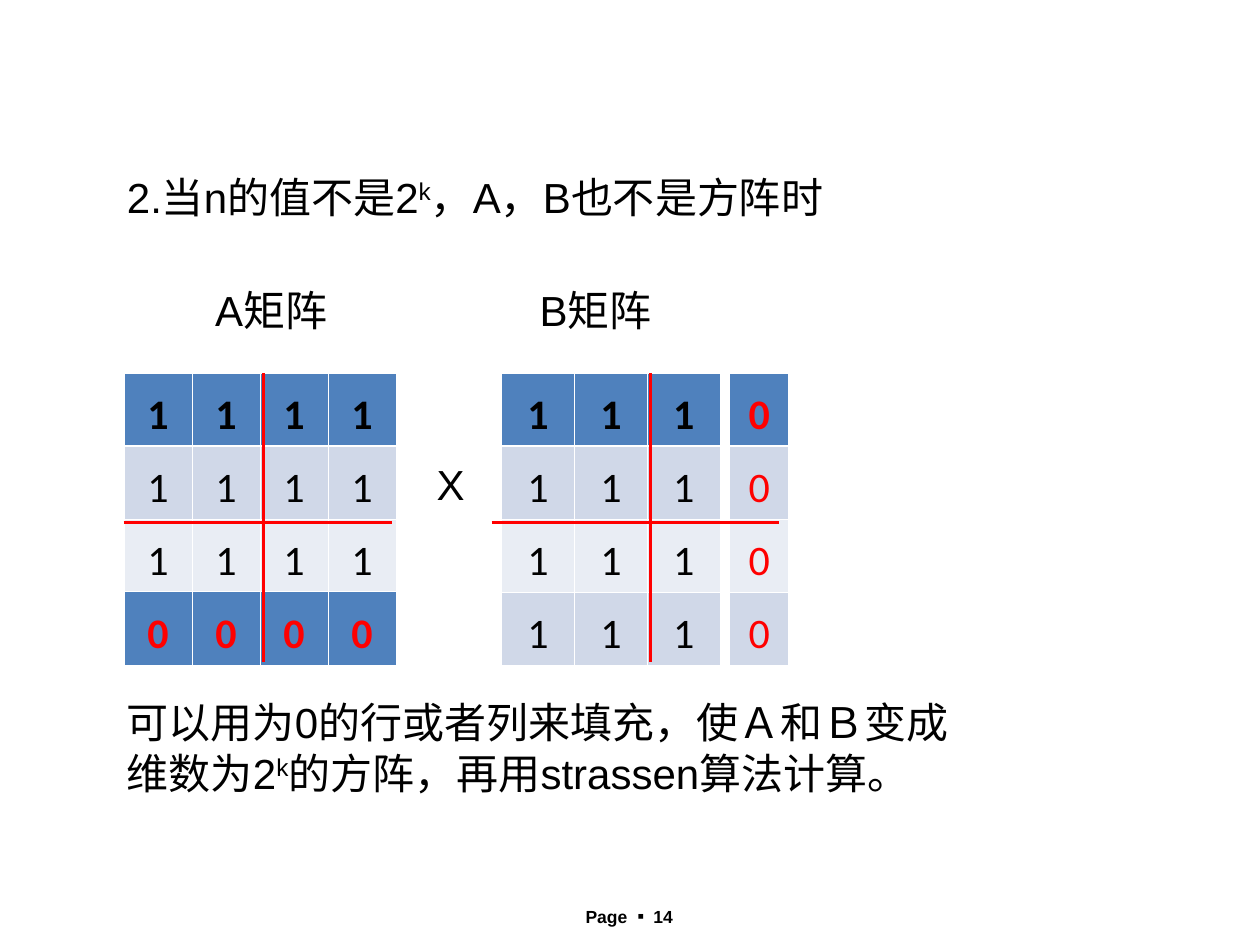
from dataclasses import dataclass

from lxml.etree import SubElement
from pptx import Presentation
from pptx.dml.color import RGBColor
from pptx.enum.shapes import MSO_CONNECTOR
from pptx.enum.text import MSO_ANCHOR, MSO_AUTO_SIZE, PP_ALIGN
from pptx.oxml.ns import qn
from pptx.slide import Slide
from pptx.util import Cm, Pt


@dataclass(frozen=True)
class Theme:
    """Colours, fonts and type sizes."""
    black: str = "000000"
    white: str = "FFFFFF"
    red: str = "FF0000"
    head: str = "4F81BD"
    dark: str = "D0D8E8"
    light: str = "E9EDF4"
    sans: str = "Arial"
    cell: str = "Calibri"
    cjk: str = "Noto Sans CJK JP"
    body: float = 24
    wide: float = 32
    foot: float = 10
    thin: float = 0.45
    thick: float = 1.5


THEME = Theme()
ROW = 1.47
TOP = 7.52
FOOT = TOP + 4 * ROW - 0.06
MID = 10.53


@dataclass(frozen=True)
class Piece:
    """One run of text."""
    text: str
    size: float = THEME.body
    font: str = THEME.sans
    tint: str = THEME.black
    bold: bool = False
    lift: bool = False


@dataclass(frozen=True)
class Box:
    """A text box with one paragraph."""
    left: float
    top: float
    width: float
    height: float
    runs: tuple[Piece, ...]
    align: PP_ALIGN = PP_ALIGN.LEFT
    tab: float = 0
    grow: bool = True


@dataclass(frozen=True)
class Grid:
    """A block of equal cells, with one fill for each row."""
    left: float
    top: float
    cols: int
    width: float
    digit: str
    tint: str
    fills: tuple[str, ...]


@dataclass(frozen=True)
class Rule:
    """A straight red line."""
    x1: float
    y1: float
    x2: float
    y2: float


BOXES = (
    Box(10.69, 18.14, 3.99, 0.56, (
        Piece("Page ", THEME.foot, bold=True),
        Piece("▪ ", THEME.foot, THEME.cjk, bold=True),
        Piece("14", THEME.foot, bold=True)), PP_ALIGN.CENTER, grow=False),
    Box(2.31, 3.33, 15.8, 2.29, (
        Piece("2.当n的值不是2"), Piece("k", lift=True),
        Piece("，A，B也不是方阵时"))),
    Box(2.31, 13.92, 17.2, 2.29, (
        Piece("可以用为0的行或者列来填充，使Ａ和Ｂ变成维数为2"),
        Piece("k", lift=True), Piece("的方阵，再用strassen算法计算。"))),
    Box(4.09, 5.33, 18.44, 1.63, (
        Piece("A矩阵"), Piece("\t", THEME.wide), Piece("B矩阵")), tab=6.54),
    Box(8.31, 9.12, 1.55, 1.27, (Piece("X"),), PP_ALIGN.CENTER),
)

BANDS = (THEME.head, THEME.dark, THEME.light, THEME.dark)
GRIDS = (
    Grid(2.5, TOP, 4, 1.37, "1", THEME.black, BANDS[:3]),
    Grid(10.11, TOP, 3, 1.47, "1", THEME.black, BANDS),
    Grid(2.5, TOP + 3 * ROW, 4, 1.37, "0", THEME.red, BANDS[:1]),
    Grid(14.71, TOP, 1, 1.19, "0", THEME.red, BANDS),
)

RULES = (
    Rule(2.49, MID, 7.9, MID),
    Rule(9.91, MID, 15.7, MID),
    Rule(5.31, TOP, 5.31, FOOT),
    Rule(13.11, TOP, 13.11, FOOT),
)


def add_run(para, piece: Piece) -> None:
    """Append one styled run to a paragraph."""
    run = para.add_run()
    run.text = piece.text
    font = run.font
    font.name, font.size, font.bold = piece.font, Pt(piece.size), piece.bold
    font.color.rgb = RGBColor.from_string(piece.tint)
    if piece.lift:
        run._r.get_or_add_rPr().set("baseline", "30000")


def add_box(slide: Slide, box: Box) -> None:
    """Draw a text box."""
    shape = slide.shapes.add_textbox(
        Cm(box.left), Cm(box.top), Cm(box.width), Cm(box.height))
    frame = shape.text_frame
    frame.word_wrap = True
    frame.auto_size = (MSO_AUTO_SIZE.SHAPE_TO_FIT_TEXT if box.grow
                       else MSO_AUTO_SIZE.NONE)
    para = frame.paragraphs[0]
    para.alignment = box.align
    if box.tab:
        tabs = SubElement(para._p.get_or_add_pPr(), qn("a:tabLst"))
        SubElement(tabs, qn("a:tab"), pos=str(Cm(box.tab)), algn="l")
    for piece in box.runs:
        add_run(para, piece)


def add_edge(cell, side: str, width: float) -> None:
    """Give a cell one white border."""
    edge = SubElement(cell._tc.get_or_add_tcPr(), qn(f"a:ln{side}"),
                      w=str(Pt(width)))
    fill = SubElement(edge, qn("a:solidFill"))
    SubElement(fill, qn("a:srgbClr"), val=THEME.white)


def add_grid(slide: Slide, grid: Grid) -> None:
    """Draw a table of equal digits."""
    rows = len(grid.fills)
    table = slide.shapes.add_table(
        rows, grid.cols, Cm(grid.left), Cm(grid.top),
        Cm(grid.cols * grid.width), Cm(rows * ROW)).table
    table.first_row = table.horz_banding = False
    for col in table.columns:
        col.width = Cm(grid.width)
    for i, (row, fill) in enumerate(zip(table.rows, grid.fills)):
        row.height = Cm(ROW)
        for cell in row.cells:
            for side in "LRTB":
                split = rows > 1 and (i, side) in ((0, "B"), (1, "T"))
                add_edge(cell, side, THEME.thick if split else THEME.thin)
            cell.fill.solid()
            cell.fill.fore_color.rgb = RGBColor.from_string(fill)
            cell.vertical_anchor = MSO_ANCHOR.MIDDLE
            para = cell.text_frame.paragraphs[0]
            para.alignment = PP_ALIGN.CENTER
            para.line_spacing, para.space_before = 1.2, Pt(6)
            add_run(para, Piece(grid.digit, font=THEME.cell, tint=grid.tint,
                                bold=i == 0))


def add_rule(slide: Slide, rule: Rule) -> None:
    """Draw a red line."""
    line = slide.shapes.add_connector(
        MSO_CONNECTOR.STRAIGHT, Cm(rule.x1), Cm(rule.y1),
        Cm(rule.x2), Cm(rule.y2))
    line.line.color.rgb = RGBColor.from_string(THEME.red)
    line.line.width = Pt(THEME.thick)
    SubElement(line._element.spPr, qn("a:effectLst"))


def main() -> None:
    """Build and save the slide."""
    deck = Presentation()
    deck.slide_width, deck.slide_height = Cm(25.4), Cm(19.05)
    slide = deck.slides.add_slide(deck.slide_layouts[6])
    for box in BOXES:
        add_box(slide, box)
    for grid in GRIDS:
        add_grid(slide, grid)
    for rule in RULES:
        add_rule(slide, rule)
    deck.save("out.pptx")


if __name__ == "__main__":
    main()
